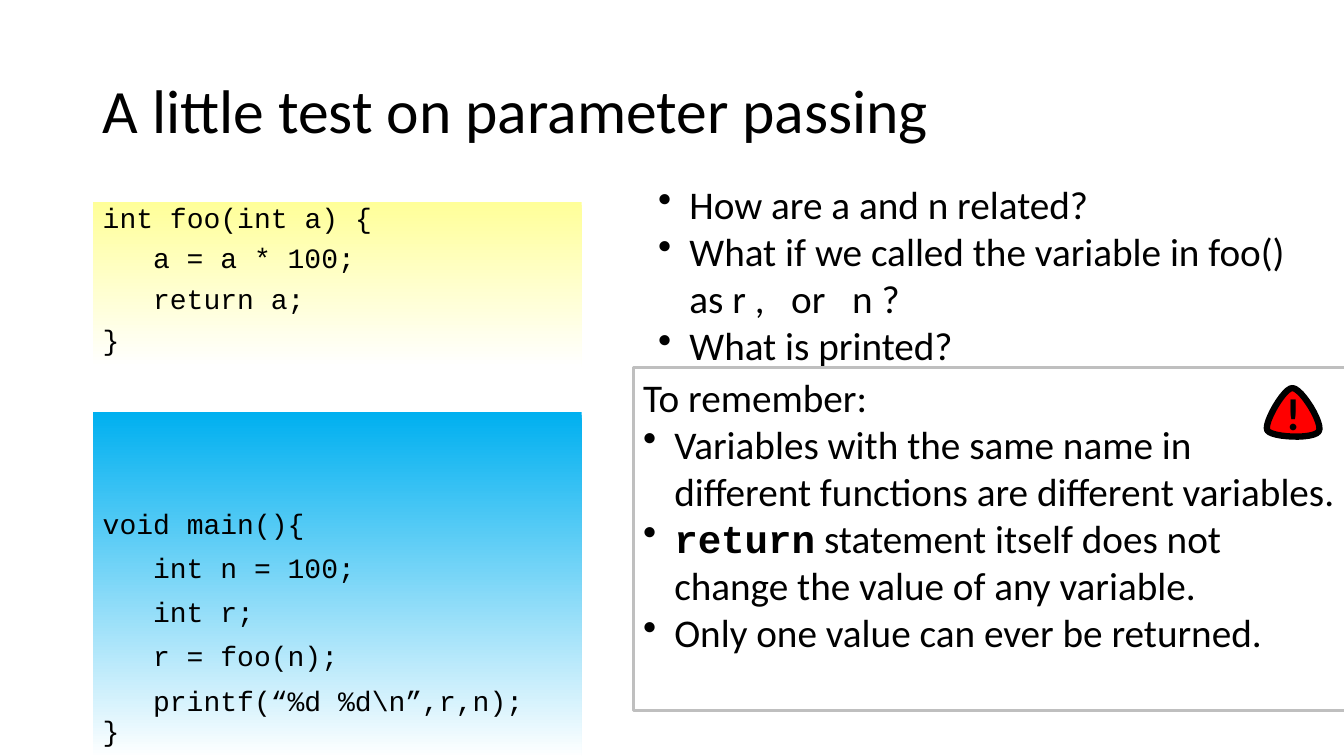
import pptx
import pptx.dml.color
import pptx.enum.shapes
import pptx.enum.text
import pptx.oxml
import pptx.util
from pptx.util import Inches

ANCHOR = pptx.enum.text.MSO_ANCHOR
BODY_FONT = "Calibri"
CODE_FONT = "Courier New"
HANG = 0.31
CODE_INDENT = 0.5


def color(code):
    """Turn a hex string into a colour."""
    return pptx.dml.color.RGBColor.from_string(code)


def set_indent(para, left, first=0.0, bullet=None):
    """Indent a paragraph and optionally give it a bullet."""
    properties = para._p.get_or_add_pPr()
    properties.set("marL", str(Inches(left)))
    properties.set("indent", str(Inches(first)))
    if bullet:
        mark = pptx.oxml.parse_xml(
            '<a:buChar xmlns:a="http://schemas.openxmlformats.org/'
            f'drawingml/2006/main" char="{bullet}"/>')
        properties.append(mark)


def add_span(para, text, size=28, font=BODY_FONT, bold=False):
    """Add a formatted run of black text to a paragraph."""
    span = para.add_run()
    span.text = text
    span.font.size = pptx.util.Pt(size)
    span.font.name = font
    span.font.bold = bold
    span.font.color.rgb = color("000000")


def next_para(frame, index):
    """Return the first paragraph of a frame, or a new one after it."""
    para = frame.paragraphs[0] if index == 0 else frame.add_paragraph()
    para.alignment = pptx.enum.text.PP_ALIGN.LEFT
    return para


def add_box(page, left, top, width, height, anchor=ANCHOR.TOP):
    """Add a wrapping rectangle without fill or line."""
    box = page.shapes.add_shape(
        pptx.enum.shapes.MSO_SHAPE.RECTANGLE,
        Inches(left), Inches(top), Inches(width), Inches(height))
    box.shadow.inherit = False
    box.fill.background()
    box.line.fill.background()
    box.text_frame.word_wrap = True
    box.text_frame.vertical_anchor = anchor
    return box


def add_title(page, text):
    """Add the slide heading."""
    box = add_box(page, 0.92, 0.4, 11.5, 1.45, anchor=ANCHOR.MIDDLE)
    para = next_para(box.text_frame, 0)
    para.line_spacing = 0.9
    add_span(para, text, size=44)


def add_code(page, top, height, tint, lines, spacing, inset=0.05, last_gap=10):
    """Add a code panel that fades to white; lines are (level, text)."""
    box = add_box(page, 0.92, top, 4.85, height)
    box.fill.gradient()
    box.fill.gradient_angle = 270
    for stop, position, code in zip(
            box.fill.gradient_stops, (0, 1), (tint, "FFFFFF")):
        stop.position = position
        stop.color.rgb = color(code)
    box.text_frame.margin_top = Inches(inset)
    for index, (level, text) in enumerate(lines):
        para = next_para(box.text_frame, index)
        para.line_spacing = spacing
        gap = last_gap if index == len(lines) - 1 else 10
        para.space_before = pptx.util.Pt(gap if index else 0)
        set_indent(para, level * CODE_INDENT)
        add_span(para, text, size=20, font=CODE_FONT)


def add_points(box, points, heading=None):
    """Fill a box with an optional heading and bullets.

    Each point is a list of (text, format) pairs.
    """
    frame = box.text_frame
    if heading:
        add_span(next_para(frame, 0), heading)
    for index, spans in enumerate(points, start=1 if heading else 0):
        para = next_para(frame, index)
        set_indent(para, HANG, -HANG, bullet="•")
        for text, style in spans:
            add_span(para, text, **style)


def curve_points(start, curves, steps=12):
    """Sample points along a chain of cubic Bézier curves."""
    points = []
    for first, second, end in curves:
        for step in range(1, steps + 1):
            t = step / steps
            weights = ((1 - t) ** 3, 3 * t * (1 - t) ** 2,
                       3 * t ** 2 * (1 - t), t ** 3)
            corners = (start, first, second, end)
            points.append(tuple(
                Inches(sum(w * corner[axis]
                           for w, corner in zip(weights, corners)))
                for axis in (0, 1)))
        start = end
    return points


def add_warning(page):
    """Add the rounded red warning triangle."""
    start = (12.57, 4.27)
    curves = [
        ((12.53, 4.2), (12.74, 3.84), (12.82, 3.85)),
        ((12.91, 3.85), (13.13, 4.21), (13.08, 4.28)),
        ((13.03, 4.36), (12.61, 4.34), start),
    ]
    builder = page.shapes.build_freeform(Inches(start[0]), Inches(start[1]))
    builder.add_line_segments(curve_points(start, curves), close=True)
    sign = builder.convert_to_shape()
    sign.shadow.inherit = False
    sign.fill.solid()
    sign.fill.fore_color.rgb = color("FF0000")
    sign.line.color.rgb = color("000000")
    sign.line.width = pptx.util.Pt(4.5)
    frame = sign.text_frame
    frame.word_wrap = False
    frame.vertical_anchor = ANCHOR.MIDDLE
    para = next_para(frame, 0)
    para.alignment = pptx.enum.text.PP_ALIGN.CENTER
    add_span(para, "!", size=32, bold=True)


def main():
    """Build the slide and save it."""
    deck = pptx.Presentation()
    deck.slide_width = Inches(13.33)
    deck.slide_height = Inches(7.5)
    page = deck.slides.add_slide(deck.slide_layouts[6])

    add_title(page, "A little test on parameter passing")
    add_code(page, 2, 1.64, "FFFF99", [
        (0, "int foo(int a) {"),
        (1, "a = a * 100;"),
        (1, "return a;"),
        (0, "}"),
    ], spacing=0.8)
    add_code(page, 4.09, 3.43, "00B0F0", [
        (0, "void main(){"),
        (1, "int n = 100;"),
        (1, "int r;"),
        (1, "r = foo(n);"),
        (1, "printf(“%d %d\\n”,r,n);"),
        (0, "}"),
    ], spacing=0.9, inset=0.97, last_gap=0)

    questions = add_box(page, 6.43, 1.74, 6.66, 1.99)
    add_points(questions, [
        [("How are a and n related?", {})],
        [("What if we called the variable in foo() as r ,   or   n ?", {})],
        [("What is printed?", {})],
    ])

    reminder = add_box(page, 6.28, 3.65, 7.06, 3.4)
    reminder.line.color.rgb = color("BFBFBF")
    reminder.line.width = pptx.util.Pt(2)
    add_points(reminder, [
        [("Variables with the same name in different functions "
          "are different variables.", {})],
        [("return", {"font": CODE_FONT, "bold": True}),
         (" statement itself does not change the value of any variable.", {})],
        [("Only one value can ever be returned.", {})],
    ], heading="To remember:")
    add_warning(page)
    deck.save("out.pptx")


main()
